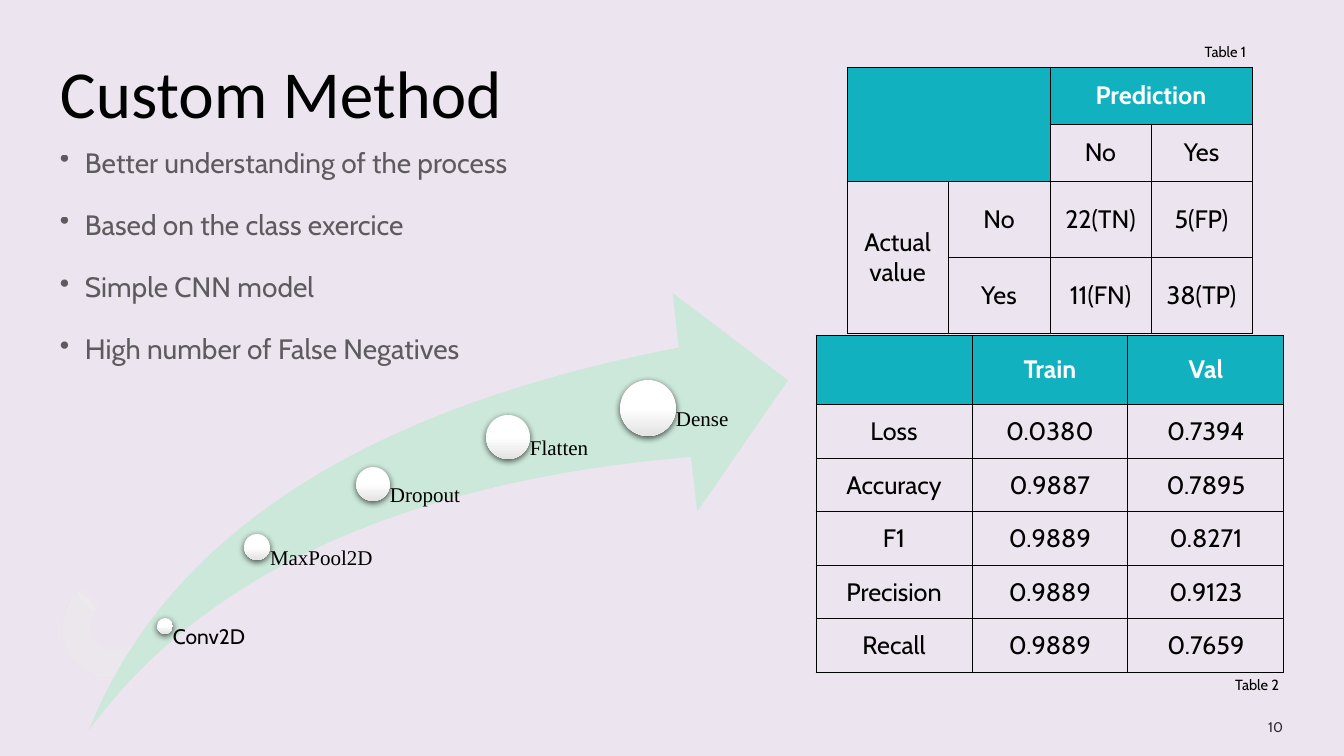
import lxml.etree
import pptx
import pptx.dml.color
import pptx.enum.shapes
import pptx.enum.text
import pptx.oxml.ns
import pptx.util

RGB = pptx.dml.color.RGBColor
BACK = RGB(0xEC, 0xE4, 0xEE)
BLACK = RGB(0, 0, 0)
WHITE = RGB(0xFF, 0xFF, 0xFF)
TEAL = RGB(0x12, 0xB1, 0xBF)
MINT = RGB(0xCC, 0xE8, 0xDA)
SILVER = RGB(0xE3, 0xE3, 0xE3)
RING = RGB(0xEA, 0xE5, 0xEB)
GLOSS = RGB(0xF4, 0xF2, 0xF5)
RIM = RGB(0xEC, 0xE8, 0xED)

SHAPE = pptx.enum.shapes.MSO_SHAPE
ALIGN = pptx.enum.text.PP_ALIGN
ANCHOR = pptx.enum.text.MSO_ANCHOR
SCALE = 914400 / 100.8


def px(length):
    """Turn px into EMU."""
    return pptx.util.Emu(round(length * SCALE))


def add(parent, tag, **attrs):
    """Append a DrawingML element."""
    return lxml.etree.SubElement(parent, pptx.oxml.ns.qn(tag), attrs)


def fade(node, share):
    """Give every colour in a node an opacity in percent."""
    for color in node.iter(pptx.oxml.ns.qn("a:srgbClr")):
        add(color, "a:alpha", val=str(share * 1000))


class Board:
    """Hold the style and the current slide."""

    def __init__(self, deck, font="Cabin"):
        """Add a blank slide with a plain background."""
        self.font = font
        self.slide = deck.slides.add_slide(deck.slide_layouts[6])
        self.shapes = self.slide.shapes
        self.slide.background.fill.solid()
        self.slide.background.fill.fore_color.rgb = BACK

    def paint(self, shape, color):
        """Fill a shape flat, with no line or shadow."""
        shape.fill.solid()
        shape.fill.fore_color.rgb = color
        shape.line.fill.background()
        shape.shadow.inherit = False

    def style(self, para, size, color=BLACK, font=None, bold=False, share=100):
        """Format the runs of a paragraph."""
        for run in para.runs:
            run.font.name = font or self.font
            run.font.size = pptx.util.Pt(size)
            run.font.bold = bold
            run.font.color.rgb = color
            if share < 100:
                fade(run._r, share)

    def text(self, box, words, size, align=ALIGN.LEFT, pad=(0, 0, 0, 0),
             anchor=ANCHOR.TOP, lead=1.0, **look):
        """Add a text box and return its paragraphs."""
        frame = self.shapes.add_textbox(*map(px, box)).text_frame
        frame.word_wrap = True
        frame.vertical_anchor = anchor
        (frame.margin_left, frame.margin_top,
         frame.margin_right, frame.margin_bottom) = map(px, pad)
        frame.text = words
        for para in frame.paragraphs:
            para.alignment = align
            para.line_spacing = lead
            self.style(para, size, **look)
        return frame.paragraphs

    def bullets(self, box, lines, size, **look):
        """Add a bulleted list."""
        paras = self.text(box, "\n".join(lines), size, lead=1.1, **look)
        for num, para in enumerate(paras):
            para.space_before = pptx.util.Pt(10 if num else 0)
            para.space_after = pptx.util.Pt(8)
            props = para._p.get_or_add_pPr()
            props.set("marL", str(px(25)))
            props.set("indent", str(-px(25)))
            add(props, "a:buChar", char="•")

    def shape(self, kind, box, color, turn=0):
        """Add a preset shape."""
        item = self.shapes.add_shape(kind, *map(px, box))
        self.paint(item, color)
        item.rotation = turn
        return item

    def ball(self, x, y, size):
        """Add a shaded ball around a centre."""
        box = (x - size / 2, y - size / 2, size, size)
        item = self.shape(SHAPE.OVAL, box, WHITE)
        item.fill.gradient()
        item.fill.gradient_angle = 270
        stops = item.fill.gradient_stops
        for stop, place, color in zip(stops, (0.5, 1), (WHITE, SILVER)):
            stop.position = place
            stop.color.rgb = color
        effects = item._element.spPr.find(pptx.oxml.ns.qn("a:effectLst"))
        shadow = add(effects, "a:outerShdw", blurRad="57150", dist="19050",
                     dir="5400000", algn="ctr", rotWithShape="0")
        add(shadow, "a:srgbClr", val="000000")
        fade(shadow, 63)

    def curve(self, start, parts, color, share=100):
        """Add an outline of lines and cubic curves."""
        points = [start]
        for part in parts:
            if len(part) == 1:
                points.append(part[0])
                continue
            ends = (points[-1], *part)
            for step in range(1, 13):
                t = step / 12
                mix = ((1 - t) ** 3, 3 * t * (1 - t) ** 2,
                       3 * t * t * (1 - t), t ** 3)
                points.append(tuple(
                    sum(m * end[axis] for m, end in zip(mix, ends))
                    for axis in (0, 1)))
        spots = [tuple(map(px, point)) for point in points]
        pen = self.shapes.build_freeform(*spots[0])
        pen.add_line_segments(spots[1:], close=True)
        item = pen.convert_to_shape()
        self.paint(item, color)
        if share < 100:
            fade(item._element.spPr, share)

    def cell(self, cell, words, head):
        """Fill, frame and format a table cell."""
        props = cell._tc.get_or_add_tcPr()
        for side in "LRTB":
            line = add(props, "a:ln" + side, w="9525")
            add(add(line, "a:solidFill"), "a:srgbClr", val="000000")
        if head:
            cell.fill.solid()
            cell.fill.fore_color.rgb = TEAL
        else:
            cell.fill.background()
        cell.vertical_anchor = ANCHOR.MIDDLE
        cell.text_frame.text = words
        for para in cell.text_frame.paragraphs:
            para.alignment = ALIGN.CENTER
            self.style(para, 18, WHITE if head else BLACK, bold=head)

    def table(self, left, top, cols, rows, data, heads, spans=()):
        """Add a table with teal heads and merged spans."""
        size = map(px, (left, top, sum(cols), sum(rows)))
        grid = self.shapes.add_table(len(rows), len(cols), *size).table
        grid.first_row = grid.horz_banding = False
        for col, width in zip(grid.columns, cols):
            col.width = px(width)
        for row, height in zip(grid.rows, rows):
            row.height = px(height)
        for r, line in enumerate(data):
            for c, words in enumerate(line):
                self.cell(grid.cell(r, c), words, (r, c) in heads)
        for first, last in spans:
            grid.cell(*first).merge(grid.cell(*last))


def main():
    """Build the slide."""
    deck = pptx.Presentation()
    deck.slide_width, deck.slide_height = px(1344), px(756)
    board = Board(deck)

    board.curve((77, 664), [
        ((56, 644), (56, 612), (77, 592)), ((95, 610),),
        ((85, 620), (85, 636), (95, 646)), ((104, 656), (121, 656), (130, 646)),
        ((148, 664),), ((129, 684), (96, 684), (77, 664))], RING)
    for x, y in ((136, 642), (83, 588)):
        board.shape(SHAPE.OVAL, (x, y, 6, 26), RIM, 135)
    board.curve((77, 664), [
        ((56, 644), (58, 610), (82, 587)), ((100, 605),),
        ((88, 616), (87, 634), (97, 643)), ((107, 653), (124, 652), (136, 641)),
        ((153, 659),), ((131, 681), (96, 684), (77, 664))], GLOSS, 20)

    board.text((60, 60, 1223, 147), "Custom Method", 48, lead=0.9,
               font="Calibri")
    board.bullets((60, 142, 1223, 530), [
        "Better understanding of the process", "Based on the class exercice",
        "Simple CNN model", "High number of False Negatives"], 20, share=60)
    board.text((1097, 718, 186, 17), "10", 10, ALIGN.RIGHT,
               anchor=ANCHOR.MIDDLE, share=80)

    board.table(816, 335, [156] * 3, [70, 54, 53, 54, 53, 54], [
        ("", "Train", "Val"),
        ("Loss", "0.0380", "0.7394"),
        ("Accuracy", "0.9887", "0.7895"),
        ("F1", "0.9889", "0.8271"),
        ("Precision", "0.9889", "0.9123"),
        ("Recall", "0.9889", "0.7659")], [(0, 0), (0, 1), (0, 2)])
    board.table(847, 67, [101, 102, 101, 101], [57, 57, 77, 76], [
        ("", "", "Prediction", ""),
        ("", "", "No", "Yes"),
        ("Actual\nvalue", "No", "22(TN)", "5(FP)"),
        ("", "Yes", "11(FN)", "38(TP)")],
        [(0, 0), (0, 1), (0, 2), (0, 3), (1, 0), (1, 1)],
        [((0, 0), (1, 1)), ((0, 2), (0, 3)), ((2, 0), (3, 0))])
    for x, y, words in ((1190, 38, "Table 1"), (1223, 671, "Table 2")):
        board.text((x, y, 66, 28), words, 10.5, ALIGN.RIGHT, (10, 5, 10, 5))

    arrow = board.shape(SHAPE.SWOOSH_ARROW, (89, 293, 699, 437), MINT)
    arrow.adjustments[0] = arrow.adjustments[1] = 0.25
    serif = "Times New Roman"
    for x, y, size, width, words, font in (
            (165, 626, 16, 92, "Conv2D", "Cabin"),
            (257, 547, 26, 116, "MaxPool2D", serif),
            (373, 484, 34, 135, "Dropout", serif),
            (508, 437, 44, 140, "Flatten", serif),
            (648, 408, 56, 140, "Dense", serif)):
        board.ball(x, y, size)
        board.text((x, y, width, 730 - y), words, 15, pad=(size // 2, 0, 0, 0),
                   lead=0.9, font=font)
    deck.save("out.pptx")


if __name__ == "__main__":
    main()
